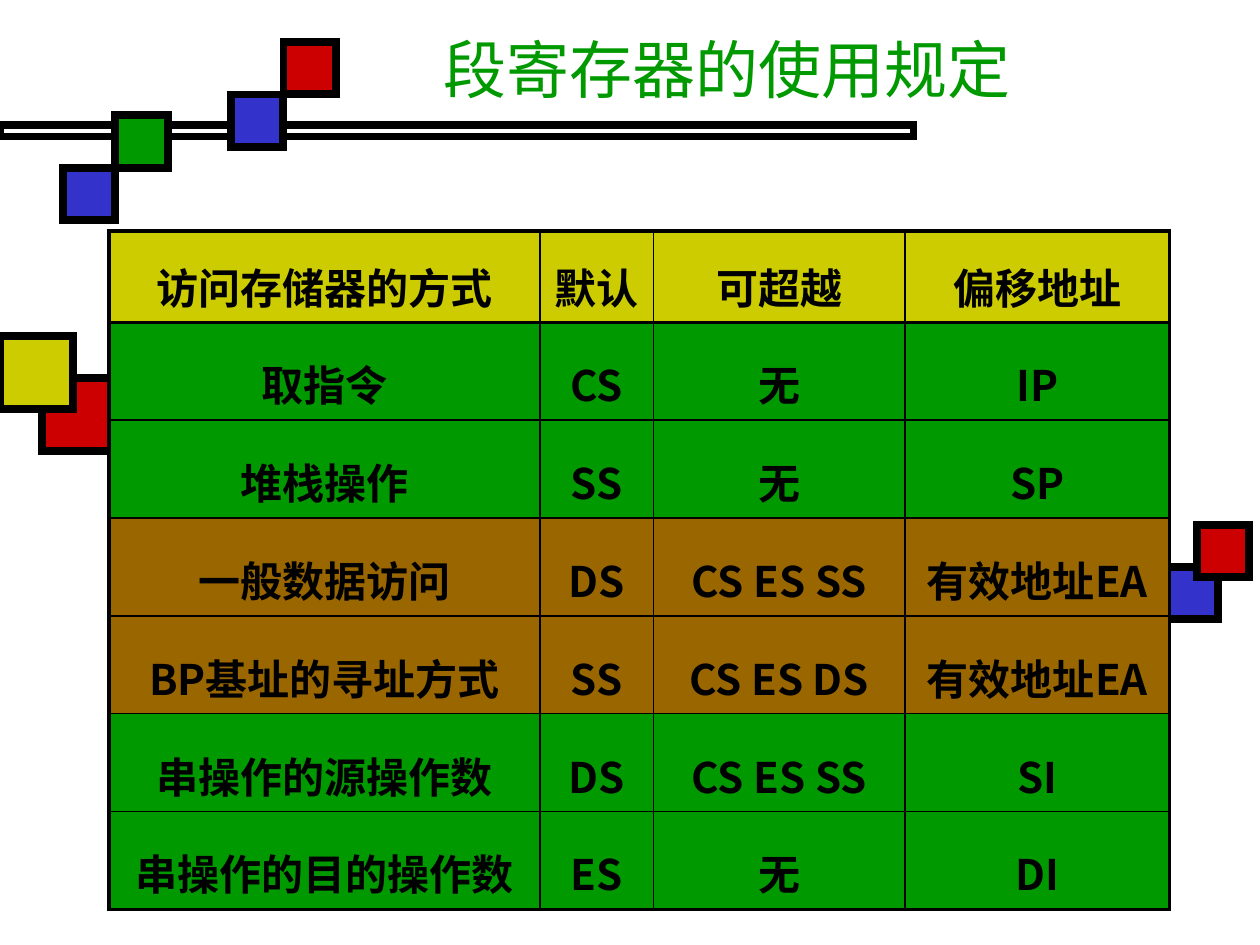
import pptx
import pptx.util
import pptx.dml.color
import pptx.enum.shapes
import pptx.enum.text
import pptx.oxml.ns
import lxml.etree

UNIT = 10 / 120  # the slide is a grid of 120 columns and 90 rows
BLACK, BLUE, RED = "000000", "3333CC", "CC0000"
GREEN, GOLD, BROWN = "009900", "CCCC00", "996600"
ALIGN = pptx.enum.text.PP_ALIGN
MIDDLE = pptx.enum.text.MSO_ANCHOR.MIDDLE

HEAD = ["访问存储器的方式", "默认", "可超越", "偏移地址"]
ROWS = [
    (GREEN, ["取指令", "CS", "无", "IP"]),
    (GREEN, ["堆栈操作", "SS", "无", "SP"]),
    (BROWN, ["一般数据访问", "DS", "CS ES SS", "有效地址EA"]),
    (BROWN, ["BP基址的寻址方式", "SS", "CS ES DS", "有效地址EA"]),
    (GREEN, ["串操作的源操作数", "DS", "CS ES SS", "SI"]),
    (GREEN, ["串操作的目的操作数", "ES", "无", "DI"]),
]


def grid(*cells):
    """Turn grid units into lengths."""
    return [pptx.util.Inches(c * UNIT) for c in cells]


def paint(target, color):
    """Give a fill or a line's fill a solid colour."""
    target.solid()
    target.fore_color.rgb = pptx.dml.color.RGBColor.from_string(color)


def node(parent, tag, **attrs):
    """Append a drawing element."""
    return lxml.etree.SubElement(parent, pptx.oxml.ns.qn("a:" + tag), attrs)


def write(frame, text, size, font, color=BLACK, bold=False,
          align=ALIGN.CENTER, lead=None, before=None):
    """Write one formatted paragraph into a text frame."""
    para = frame.paragraphs[0]
    para.alignment = align
    if lead:
        para.line_spacing = lead
    if before:
        gap = node(para._p.get_or_add_pPr(), "spcBef")
        node(gap, "spcPct", val=str(before * 1000))
    run = para.add_run()
    run.text = text
    run.font.size = pptx.util.Pt(size)
    run.font.bold = bold
    run.font.name = font
    paint(run.font.fill, color)
    node(run._r.get_or_add_rPr(), "ea", typeface=font)


def block(shapes, box, fill=None):
    """Draw a rectangle with a thick, sharp-cornered black outline."""
    kind = pptx.enum.shapes.MSO_SHAPE.RECTANGLE
    shape = shapes.add_shape(kind, *grid(*box))
    shape.shadow.inherit = False
    shape.line.width = pptx.util.Pt(4.5)
    paint(shape.line.fill, BLACK)
    node(shape._element.spPr.find(pptx.oxml.ns.qn("a:ln")), "miter",
         lim="800000")
    if fill:
        paint(shape.fill, fill)
    else:
        shape.fill.background()


def cluster(slide, left, top, side, squares):
    """Group equal squares, offset from the cluster's corner."""
    group = slide.shapes.add_group_shape()
    for dx, dy, fill in squares:
        block(group.shapes, (left + dx, top + dy, side, side), fill)


def title(slide, box, text):
    """Place the title text."""
    frame = slide.shapes.add_textbox(*grid(*box)).text_frame
    frame.word_wrap = True
    frame.vertical_anchor = MIDDLE
    write(frame, text, 36, "Karla", GREEN, align=ALIGN.JUSTIFY)


def edge(cell, **widths):
    """Draw the cell's borders, with widths in points by side."""
    props = cell._tc.get_or_add_tcPr()
    for side, width in widths.items():
        line = node(props, "ln" + side, w=str(int(pptx.util.Pt(width))))
        node(node(line, "solidFill"), "srgbClr", val=BLACK)


def table(slide, box, shares, top):
    """Fill the box with the register table.

    Shares set column widths; top is the header's height, and the other
    rows divide the rest of the box equally.
    """
    lines = [(GOLD, HEAD)] + ROWS
    last, end = len(lines) - 1, len(HEAD) - 1
    frame = slide.shapes.add_table(len(lines), len(HEAD), *grid(*box))
    sheet = frame.table
    for col, share in zip(sheet.columns, shares):
        col.width, = grid(box[2] * share / sum(shares))
    for r, (fill, texts) in enumerate(lines):
        sheet.rows[r].height, = grid((box[3] - top) / last if r else top)
        for c, text in enumerate(texts):
            cell = sheet.cell(r, c)
            cell.vertical_anchor = MIDDLE
            edge(cell, L=1 if c else 2.25, R=2.25 if c == end else 1,
                 T=2.25 if r < 2 else 1, B=2.25 if r in (0, last) else 1)
            paint(cell.fill, fill)
            write(cell.text_frame, text, 24, "Noto Sans CJK SC", bold=True,
                  lead=1.4 if r else 1.3, before=20)


def main():
    """Build the slide and save it."""
    deck = pptx.Presentation()
    deck.slide_width, deck.slide_height = grid(120, 90)
    slide = deck.slides.add_slide(deck.slide_layouts[6])
    block(slide.shapes, (0, 11.9, 87, 1.1))
    cluster(slide, 111, 50, 5, [(0, 4, BLUE), (3, 0, RED)])
    cluster(slide, 6, 4, 5, [(16, 5, BLUE), (0, 12, BLUE),
                             (5, 7, GREEN), (21, 0, RED)])
    cluster(slide, 0, 32, 7, [(4, 4, RED), (0, 0, GOLD)])
    title(slide, (41.1, 1, 78.9, 11), "段寄存器的使用规定")
    table(slide, (10.4, 22, 101, 64.6), (3.42, 0.9, 2, 2.1), 8.7)
    deck.save("out.pptx")


main()
